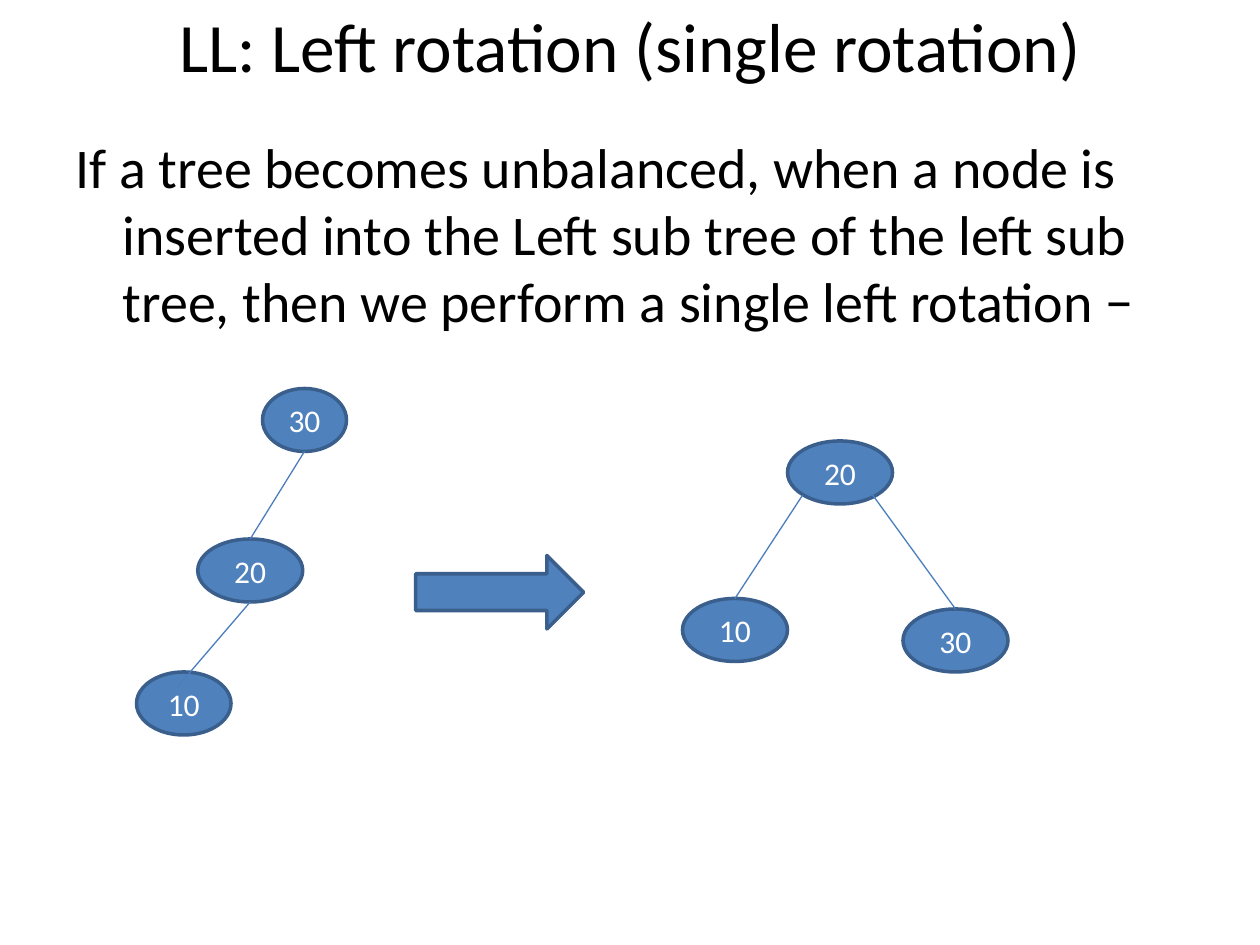
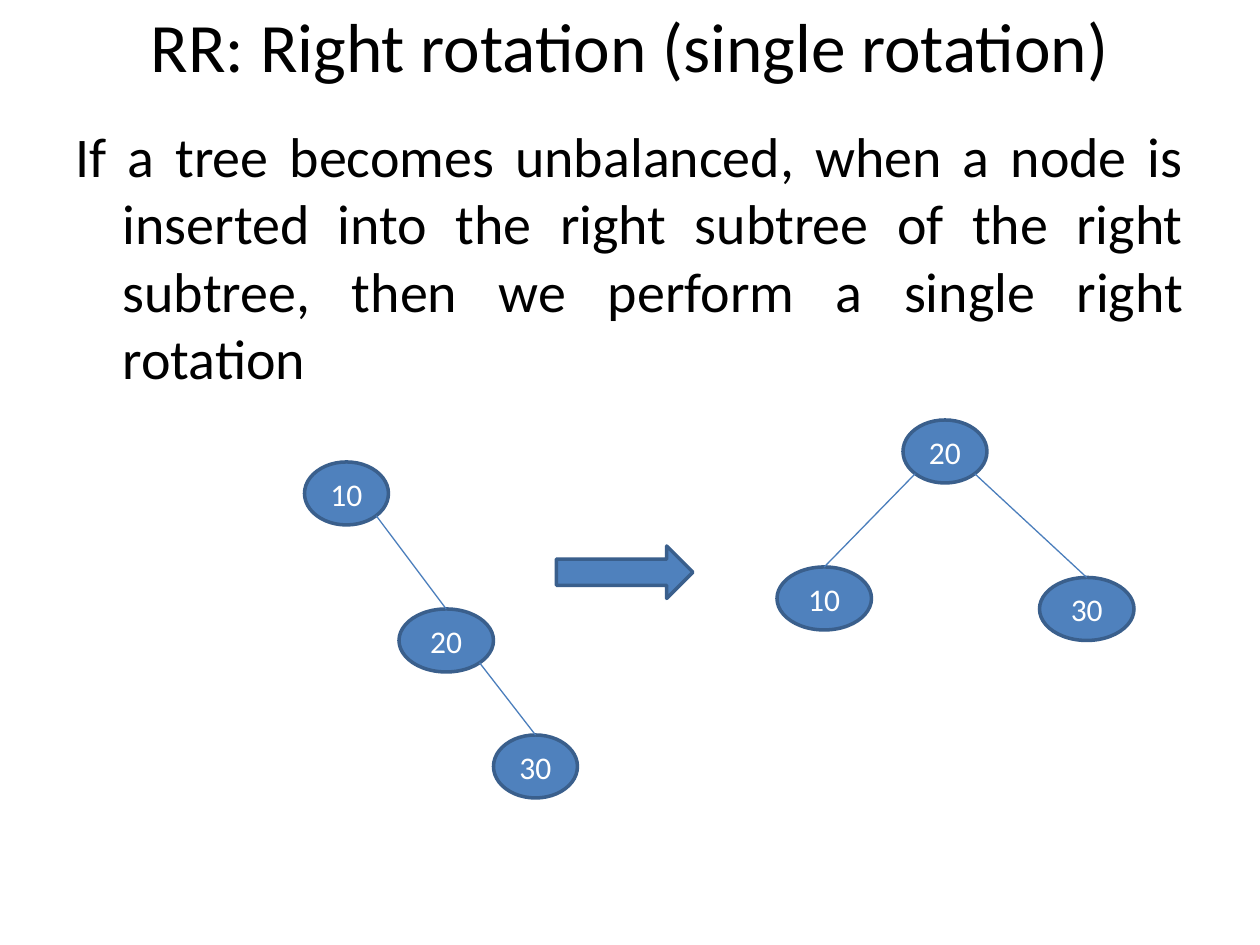
import pptx
import pptx.util
import pptx.dml.color
import pptx.enum.shapes
import pptx.enum.text
import pptx.oxml

Pt = pptx.util.Pt
RGBColor = pptx.dml.color.RGBColor
MSO_SHAPE = pptx.enum.shapes.MSO_SHAPE
PP_ALIGN = pptx.enum.text.PP_ALIGN
MSO_ANCHOR = pptx.enum.text.MSO_ANCHOR

BLACK = RGBColor(0x00, 0x00, 0x00)
WHITE = RGBColor(0xFF, 0xFF, 0xFF)
NODE_FILL = RGBColor(0x4F, 0x81, 0xBD)
NODE_LINE = RGBColor(0x3A, 0x5F, 0x8C)
EDGE_LINE = RGBColor(0x4B, 0x7E, 0xBC)
FONT = "Calibri"
MARGIN = 36
TEXT_WIDTH = 648
BODY_BOTTOM = 482.4
NODE_HEIGHT = 36
EFFECT_LIST = '<a:effectLst xmlns:a="http://schemas.openxmlformats.org/drawingml/2006/main"/>'

ROTATIONS = [
    {
        "title": "LL: Left rotation (single rotation)",
        "body": "If a tree becomes unbalanced, when a node is inserted into the Left sub tree "
                "of the left sub tree, then we perform a single left rotation −",
        "body_top": 72,
        "body_align": PP_ALIGN.LEFT,
        "nodes": [("30", 150, 222, 48), ("20", 113, 308, 60), ("10", 78, 384, 54),
                  ("20", 450, 252, 60), ("10", 390, 342, 60), ("30", 516, 348, 60)],
        "edges": [(174, 258, 143, 308), (143, 344, 101.5, 392.4),
                  (458.6, 283, 420, 342), (498.4, 282.5, 546, 348)],
        "arrow": (237.5, 317.4, 96, 42),
    },
    {
        "title": "RR: Right rotation (single rotation)",
        "body": "If a tree becomes unbalanced, when a node is inserted into the right subtree "
                "of the right subtree, then we perform a single right rotation",
        "body_top": 66,
        "body_align": PP_ALIGN.JUSTIFY,
        "nodes": [("10", 174, 264, 48), ("20", 228, 348, 54), ("30", 282, 420, 48),
                  ("10", 444, 324, 54), ("20", 516, 240, 48), ("30", 594, 330, 54)],
        "edges": [(215, 294.7, 255, 348), (274, 378.7, 306, 420),
                  (523, 270.7, 471, 324), (557, 270.7, 621, 330)],
        "arrow": (318, 312, 78, 30),
    },
]


def add_text(slide, text, top, height, size, align, anchor):
    box = slide.shapes.add_textbox(Pt(MARGIN), Pt(top), Pt(TEXT_WIDTH), Pt(height))
    frame = box.text_frame
    frame.word_wrap = True
    frame.vertical_anchor = anchor
    paragraph = frame.paragraphs[0]
    paragraph.text = text
    paragraph.alignment = align
    paragraph.font.name = FONT
    paragraph.font.size = Pt(size)
    paragraph.font.color.rgb = BLACK
    return paragraph


def add_filled_shape(slide, kind, left, top, width, height):
    shape = slide.shapes.add_shape(kind, Pt(left), Pt(top), Pt(width), Pt(height))
    shape.shadow.inherit = False
    shape.fill.solid()
    shape.fill.fore_color.rgb = NODE_FILL
    shape.line.color.rgb = NODE_LINE
    shape.line.width = Pt(2)
    return shape


presentation = pptx.Presentation()
presentation.slide_width = Pt(720)
presentation.slide_height = Pt(540)

for rotation in ROTATIONS:
    slide = presentation.slides.add_slide(presentation.slide_layouts[6])
    add_text(slide, rotation["title"], 0, 51, 39.6, PP_ALIGN.CENTER, MSO_ANCHOR.MIDDLE)

    body_top = rotation["body_top"]
    body = add_text(slide, rotation["body"], body_top, BODY_BOTTOM - body_top, 32,
                    rotation["body_align"], MSO_ANCHOR.TOP)
    properties = body._p.get_or_add_pPr()
    properties.set("marL", str(Pt(27)))
    properties.set("indent", str(Pt(-27)))

    for label, left, top, width in rotation["nodes"]:
        node = add_filled_shape(slide, MSO_SHAPE.FLOWCHART_CONNECTOR, left, top, width, NODE_HEIGHT)
        node.text_frame.vertical_anchor = MSO_ANCHOR.MIDDLE
        paragraph = node.text_frame.paragraphs[0]
        paragraph.text = label
        paragraph.alignment = PP_ALIGN.CENTER
        paragraph.font.name = FONT
        paragraph.font.size = Pt(18)
        paragraph.font.color.rgb = WHITE

    for edge in rotation["edges"]:
        connector = slide.shapes.add_connector(
            pptx.enum.shapes.MSO_CONNECTOR.STRAIGHT, *[Pt(length) for length in edge])
        connector.line.color.rgb = EDGE_LINE
        connector.line.width = Pt(0.75)
        connector._element.spPr.append(pptx.oxml.parse_xml(EFFECT_LIST))

    add_filled_shape(slide, MSO_SHAPE.RIGHT_ARROW, *rotation["arrow"])

presentation.save("out.pptx")
